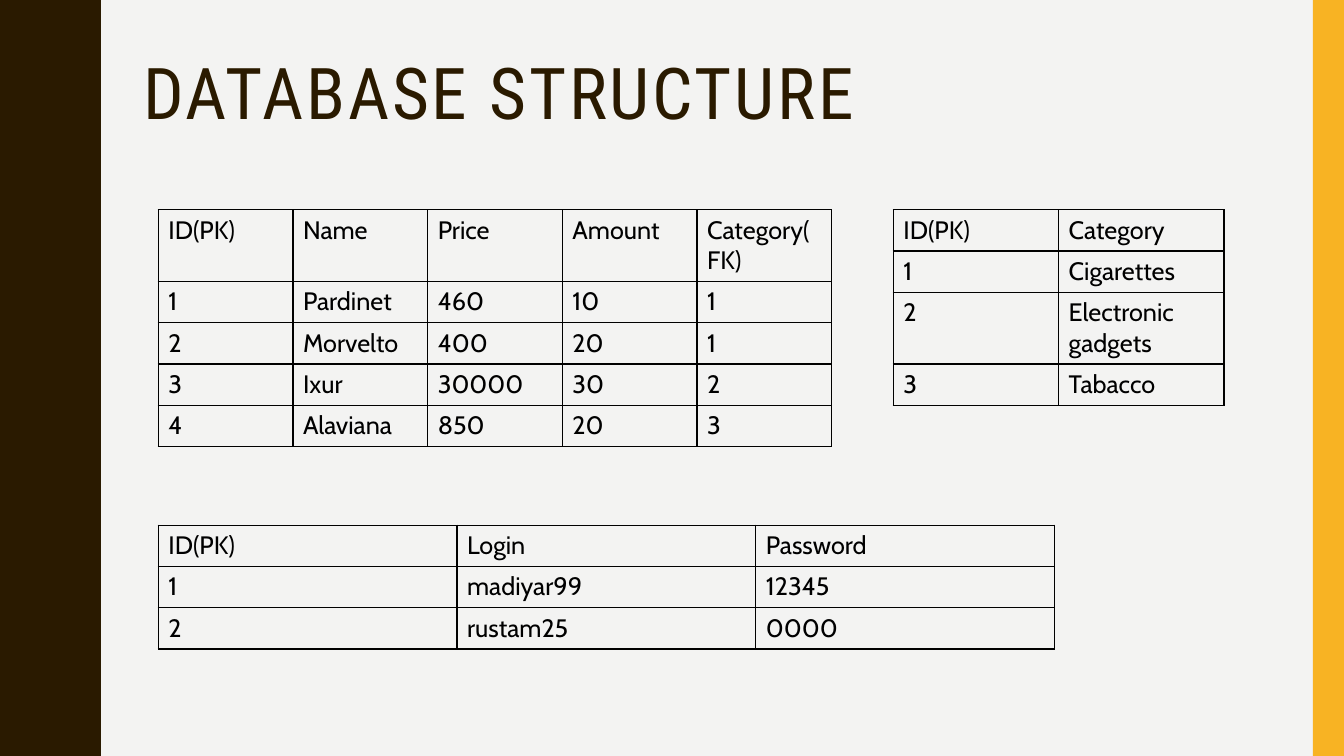
from lxml import etree
from pptx import Presentation
from pptx import util as u
from pptx.dml.color import RGBColor
from pptx.enum import shapes, text
from pptx.oxml import ns

HUES = {"paper": "F3F3F2", "brown": "2A1A00", "gold": "F8B323", "black": "000000"}
WIDE, HIGH = 13.33, 7.5
BEND = [
    (0.78, 0), (0.78, 0.07), (0.79, 0.14), (0.8, 0.2), (0.81, 0.25),
    (0.83, 0.29), (0.85, 0.33), (0.89, 0.42), (0.91, 0.46), (0.93, 0.5),
    (0.95, 0.55), (0.96, 0.61), (0.97, 0.68), (0.97, 0.75),
]
CYCLE = 1.5

GOODS = [
    ["ID(PK)", "Name", "Price", "Amount", "Category(FK)"],
    ["1", "Pardinet", "460", "10", "1"],
    ["2", "Morvelto", "400", "20", "1"],
    ["3", "Ixur", "30000", "30", "2"],
    ["4", "Alaviana", "850", "20", "3"],
]
KINDS = [
    ["ID(PK)", "Category"],
    ["1", "Cigarettes"],
    ["2", "Electronic gadgets"],
    ["3", "Tabacco"],
]
USERS = [
    ["ID(PK)", "Login", "Password"],
    ["1", "madiyar99", "12345"],
    ["2", "rustam25", "0000"],
]


def hue(name):
    return RGBColor.from_string(HUES[name])


def write(frame, words, size=18, face="Cabin", color="black", space=None, track=None):
    para = frame.paragraphs[0]
    para.alignment = text.PP_ALIGN.LEFT
    if space:
        para.line_spacing = space
    run = para.add_run()
    run.text = words
    run.font.size = u.Pt(size)
    run.font.name = face
    run.font.bold = False
    run.font.color.rgb = hue(color)
    if track:
        run.font._element.set("spc", str(track * 100))


class Page:
    row = 0.41
    tall = 0.71
    rule = 1

    def __init__(self, deck):
        self.slide = deck.slides.add_slide(deck.slide_layouts[5])
        fill = self.slide.background.fill
        fill.solid()
        fill.fore_color.rgb = hue("paper")

    def paint(self, shape, color):
        shape.shadow.inherit = False
        shape.fill.solid()
        shape.fill.fore_color.rgb = hue(color)
        shape.line.fill.background()

    def wave(self, color):
        cycle = BEND + [(x, CYCLE - y) for x, y in BEND[-2::-1]]
        count = round(HIGH / CYCLE)
        edge = [(x, y + step * CYCLE) for step in range(count) for x, y in cycle]
        pen = self.slide.shapes.build_freeform(0, 0, scale=u.Inches(1))
        pen.add_line_segments(edge + [(0, HIGH)], close=True)
        self.paint(pen.convert_to_shape(), color)

    def bar(self, left, top, width, height, color):
        box = map(u.Inches, (left, top, width, height))
        shape = self.slide.shapes.add_shape(shapes.MSO_SHAPE.RECTANGLE, *box)
        self.paint(shape, color)

    def title(self, words, left, top, width, height):
        head = self.slide.shapes.title
        head.left, head.top = u.Inches(left), u.Inches(top)
        head.width, head.height = u.Inches(width), u.Inches(height)
        frame = head.text_frame
        frame.word_wrap = True
        frame.auto_size = text.MSO_AUTO_SIZE.NONE
        frame.vertical_anchor = text.MSO_ANCHOR.MIDDLE
        frame.margin_left = frame.margin_right = u.Inches(0.05)
        frame.margin_top = frame.margin_bottom = u.Inches(0.05)
        write(frame, words, size=51, face="Roboto Condensed", color="brown",
              space=0.9, track=2)

    def border(self, cell):
        props = cell._tc.get_or_add_tcPr()
        for spot, side in enumerate(("lnL", "lnR", "lnT", "lnB")):
            line = etree.Element(ns.qn("a:" + side), w=str(u.Pt(self.rule)))
            fill = etree.SubElement(line, ns.qn("a:solidFill"))
            etree.SubElement(fill, ns.qn("a:srgbClr"), val=HUES["black"])
            props.insert(spot, line)

    def table(self, data, left, top, width, high=None):
        sizes = [self.tall if i == high else self.row for i in range(len(data))]
        box = map(u.Inches, (left, top, width, sum(sizes)))
        grid = self.slide.shapes.add_table(len(data), len(data[0]), *box).table
        grid.first_row = grid.horz_banding = False
        for col in grid.columns:
            col.width = u.Inches(width / len(data[0]))
        for row, size, words in zip(grid.rows, sizes, data):
            row.height = u.Inches(size)
            for cell, word in zip(row.cells, words):
                cell.fill.background()
                self.border(cell)
                write(cell.text_frame, word)


def main():
    deck = Presentation()
    deck.slide_width, deck.slide_height = u.Inches(WIDE), u.Inches(HIGH)
    page = Page(deck)
    page.wave("brown")
    page.bar(13.02, 0, 0.31, HIGH, "gold")
    page.title("DATABASE STRUCTURE", 1.37, 0.52, 11.13, 0.88)
    page.table(GOODS, 1.57, 2.08, 6.68, high=0)
    page.table(KINDS, 8.86, 2.08, 3.28, high=2)
    page.table(USERS, 1.57, 5.21, 8.89)
    deck.save("out.pptx")


if __name__ == "__main__":
    main()
